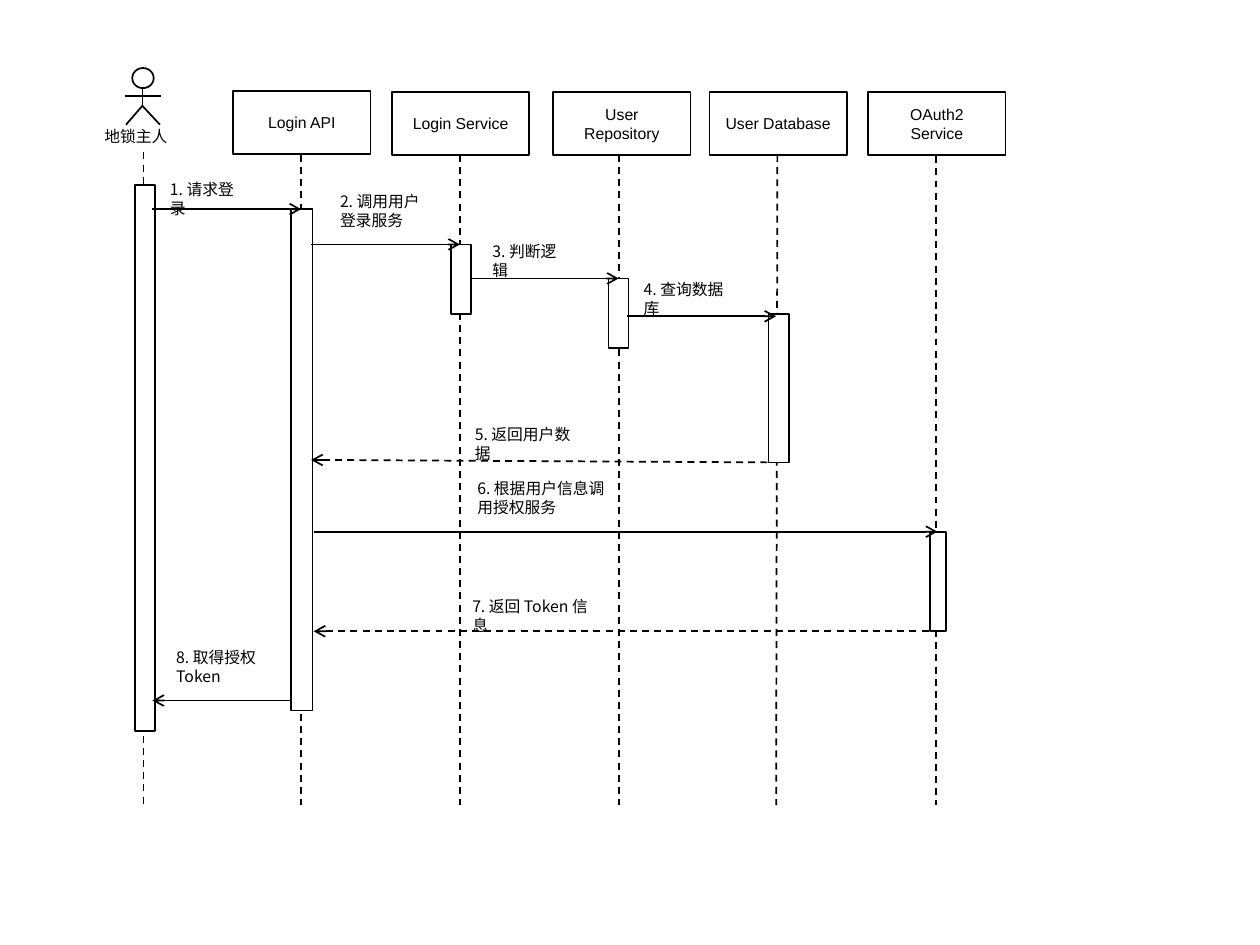
from lxml import etree
from pptx import Presentation
from pptx.dml.color import RGBColor
from pptx.enum.dml import MSO_LINE
from pptx.enum.shapes import MSO_CONNECTOR, MSO_SHAPE
from pptx.enum.text import MSO_ANCHOR, PP_ALIGN
from pptx.oxml.ns import qn
from pptx.util import Inches, Pt

STRAIGHT = MSO_CONNECTOR.STRAIGHT
DASH = MSO_LINE.DASH
PROCESS, RECT, OVAL = MSO_SHAPE.FLOWCHART_PROCESS, MSO_SHAPE.RECTANGLE, MSO_SHAPE.OVAL
MIDDLE, TOP = MSO_ANCHOR.MIDDLE, MSO_ANCHOR.TOP
CENTER, LEFT = PP_ALIGN.CENTER, PP_ALIGN.LEFT

COLORS = {"ink": "000000", "paper": "FFFFFF"}
LATIN, CJK = "Arial", "Noto Sans CJK SC"
LIFE_END = 6.39

HEADERS = [
    (1.85, 0.72, ["Login API"]),
    (3.11, 0.73, ["Login Service"]),
    (4.39, 0.73, ["User Repository"]),
    (5.63, 0.73, ["User Database"]),
    (6.89, 0.73, ["OAuth2", "Service"]),
]
LIFELINES = [(1.14, 1.21, 1.14), (2.39, 1.23, 2.39), (3.65, 1.23, 3.65),
             (4.91, 1.23, 4.91), (6.17, 1.23, 6.16), (7.43, 1.24, 7.43)]
ACTIVATIONS = [(1.07, 1.47, 0.16, 4.33), (2.31, 1.66, 0.17, 3.98),
               (3.58, 1.94, 0.16, 0.55), (4.83, 2.21, 0.16, 0.55),
               (6.1, 2.49, 0.16, 1.18), (7.38, 4.22, 0.13, 0.79)]
MESSAGES = [
    ("1. 请求登录", (1.25, 1.38, 0.85, 0.25), (1.21, 1.66, 2.39, 1.66), False),
    ("2. 调用用户登录服务", (2.6, 1.47, 0.98, 0.4), (2.47, 1.94, 3.65, 1.94), False),
    ("3. 判断逻辑", (3.81, 1.87, 0.85, 0.25), (3.73, 2.21, 4.91, 2.21), False),
    ("4. 查询数据库", (5.01, 2.17, 0.97, 0.25), (4.98, 2.51, 6.16, 2.51), False),
    ("5. 返回用户数据", (3.67, 3.32, 1.1, 0.25), (6.09, 3.67, 2.47, 3.65), True),
    ("6. 根据用户信息调用授权服务", (3.69, 3.75, 1.33, 0.4), (2.49, 4.22, 7.44, 4.22), False),
    ("7. 返回 Token 信息", (3.65, 4.69, 1.27, 0.25), (7.37, 5.01, 2.49, 5.01), True),
    ("8. 取得授权 Token", (1.3, 5.09, 1.01, 0.4), (2.31, 5.56, 1.21, 5.56), False),
]


def rgb(name):
    """Return a palette colour."""
    return RGBColor.from_string(COLORS[name])


def write(sp, lines, font, align, anchor, right=0.1):
    """Write one paragraph per line into a shape."""
    tf = sp.text_frame
    tf.word_wrap = True
    tf.vertical_anchor = anchor
    tf.margin_left, tf.margin_right = Inches(0.1), Inches(right)
    tf.margin_top = tf.margin_bottom = Inches(0.05)
    for i, line in enumerate(lines):
        p = tf.add_paragraph() if i else tf.paragraphs[0]
        p.alignment = align
        p.line_spacing = Pt(10.8)
        r = p.add_run()
        r.text = line
        r.font.size = Pt(9)
        r.font.name = font
        r.font.color.rgb = rgb("ink")
        ea = etree.SubElement(r.font._element, qn("a:ea"))
        ea.set("typeface", CJK)


def add_box(s, kind, box):
    """Add a white outlined shape."""
    sp = s.shapes.add_shape(kind, *map(Inches, box))
    sp.shadow.inherit = False
    sp.fill.solid()
    sp.fill.fore_color.rgb = rgb("paper")
    sp.line.color.rgb = rgb("ink")
    sp.line.width = Pt(1)
    return sp


def add_line(s, ends, dashed=False, arrow=False):
    """Add a straight line, optionally dashed or with an arrowhead at its end."""
    cx = s.shapes.add_connector(STRAIGHT, *map(Inches, ends))
    cx.line.color.rgb = rgb("ink")
    cx.line.width = Pt(1)
    if dashed:
        cx.line.dash_style = DASH
    if arrow:
        tail = etree.SubElement(cx.line._get_or_add_ln(), qn("a:tailEnd"))
        tail.set("type", "arrow")
    etree.SubElement(cx._element.spPr, qn("a:effectLst"))


def add_label(s, text, box, right=0.16):
    """Add a text label."""
    sp = s.shapes.add_textbox(*map(Inches, box))
    write(sp, [text], CJK, LEFT, TOP, right)


def add_actor(s, x, y, name):
    """Draw a stick figure with its name from the top left of its label column."""
    add_box(s, OVAL, (x + 0.32, y, 0.17, 0.16))
    limbs = [(0.26, 0.22, 0.55, 0.22), (0.4, 0.16, 0.4, 0.3),
             (0.4, 0.3, 0.27, 0.45), (0.4, 0.3, 0.54, 0.45)]
    for x1, y1, x2, y2 in limbs:
        add_line(s, (x + x1, y + y1, x + x2, y + y2))
    add_label(s, name, (x, y + 0.42, 0.71, 0.25), 0.05)


def add_participants(s):
    """Draw the lifelines, header boxes and activation bars."""
    for x1, y, x2 in LIFELINES:
        add_line(s, (x1, y, x2, LIFE_END), dashed=True)
    for x, y, lines in HEADERS:
        sp = add_box(s, PROCESS, (x, y, 1.09, 0.5))
        write(sp, lines, LATIN, CENTER, MIDDLE)
    for box in ACTIVATIONS:
        add_box(s, RECT, box)


def add_messages(s):
    """Draw the message arrows and their labels."""
    for text, box, ends, dashed in MESSAGES:
        add_line(s, ends, dashed, arrow=True)
        add_label(s, text, box)


def main():
    """Build and save the sequence diagram."""
    prs = Presentation()
    prs.slide_width, prs.slide_height = Inches(10), Inches(7.5)
    s = prs.slides.add_slide(prs.slide_layouts[6])
    add_participants(s)
    add_messages(s)
    add_actor(s, 0.73, 0.54, "地锁主人")
    prs.save("out.pptx")


main()
